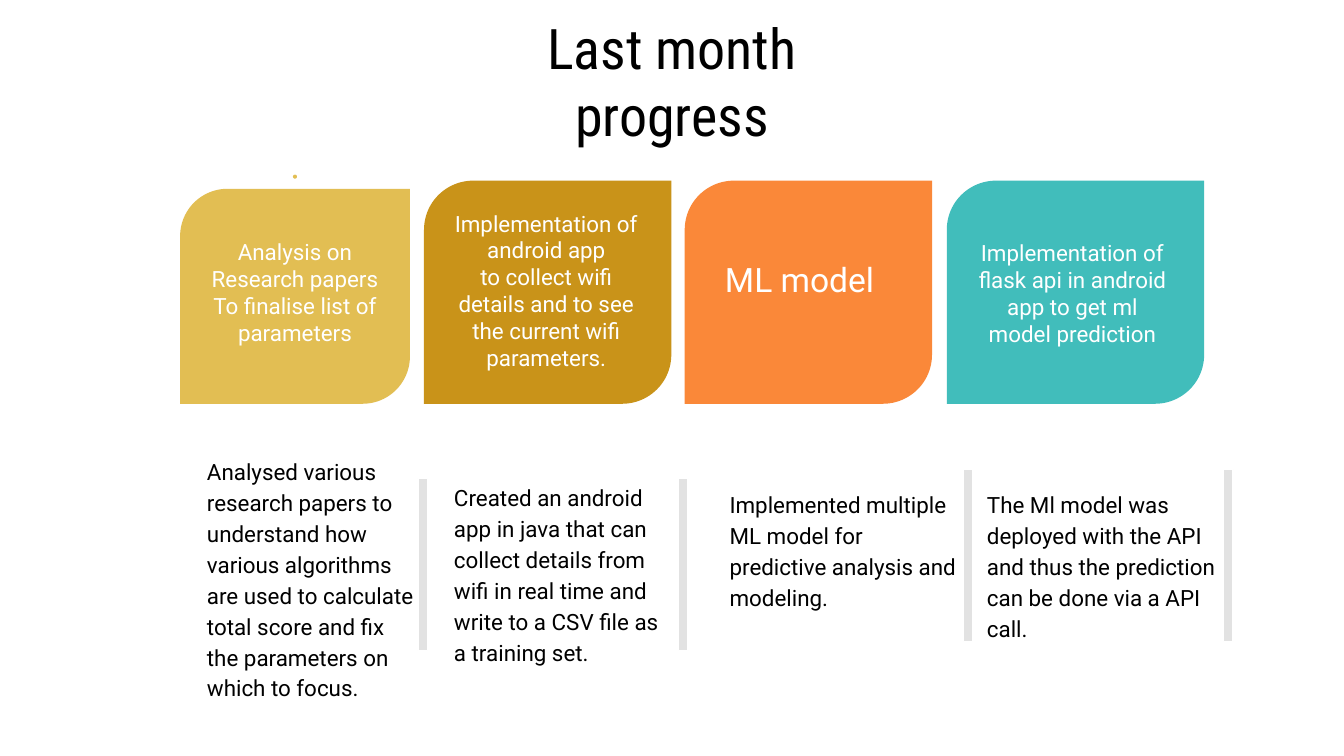
import pptx
import pptx.util
import pptx.dml.color
import pptx.enum.shapes
import pptx.enum.text

RGBColor = pptx.dml.color.RGBColor
SHAPES = pptx.enum.shapes.MSO_SHAPE
ALIGN = pptx.enum.text.PP_ALIGN

PX = 4572  # 200 px to the inch
BLACK = RGBColor(0x00, 0x00, 0x00)
WHITE = RGBColor(0xFF, 0xFF, 0xFF)
SAND = RGBColor(0xE2, 0xBE, 0x53)
GOLD = RGBColor(0xC9, 0x93, 0x19)
ORANGE = RGBColor(0xFA, 0x88, 0x39)
TEAL = RGBColor(0x41, 0xBD, 0xBB)
GREY = RGBColor(0xE2, 0xE2, 0xE2)

presentation = pptx.Presentation()
presentation.slide_width = 2000 * PX
presentation.slide_height = 1125 * PX
slide = presentation.slides.add_slide(presentation.slide_layouts[6])


def add_text(box, lines, size, color, insets, align=ALIGN.LEFT, spacing=1.0, font="Roboto"):
    """Add a vertically centred text box; insets are left, top, right, bottom."""
    frame = slide.shapes.add_textbox(*[value * PX for value in box]).text_frame
    frame.word_wrap = True
    frame.vertical_anchor = pptx.enum.text.MSO_ANCHOR.MIDDLE
    frame.margin_left, frame.margin_top, frame.margin_right, frame.margin_bottom = [
        value * PX for value in insets]
    frame.text = "\n".join(lines)
    for paragraph in frame.paragraphs:
        paragraph.alignment = align
        paragraph.line_spacing = spacing
        paragraph.font.name = font
        paragraph.font.size = pptx.util.Pt(size)
        paragraph.font.color.rgb = color


def add_filled(kind, box, color):
    shape = slide.shapes.add_shape(kind, *[value * PX for value in box])
    shape.shadow.inherit = False
    shape.fill.solid()
    shape.fill.fore_color.rgb = color
    shape.line.fill.background()
    return shape


# Title
add_text((680, 79, 640, 82), ["Last month progress"], 30, BLACK, (20, 20, 20, 20),
         ALIGN.CENTER, font="Roboto Condensed")

# Milestone cards: card box, colour, label box, label lines, size, bottom inset
cards = [
    ((268, 281, 342, 320), SAND, (284, 376, 310, 176),
     ["Analysis on", "Research papers", "To finalise list of parameters"], 12, 68),
    ((631, 269, 368, 332), GOLD, (642, 280, 342, 304),
     ["Implementation of android app",
      "to collect wifi details and to see the current wifi parameters."], 12, 10),
    ((1019, 269, 368, 332), ORANGE, (1034, 290, 312, 290), ["ML model"], 18, 50),
    ((1409, 269, 383, 332), TEAL, (1430, 291, 332, 290),
     ["Implementation of flask api in android app to get ml model prediction"], 12, 10),
]
for card_box, color, label_box, lines, size, bottom in cards:
    card = add_filled(SHAPES.ROUND_2_DIAG_RECTANGLE, card_box, color)
    card.adjustments[0] = 0.22
    add_text(label_box, lines, size, WHITE, (20, 10, 20, bottom), ALIGN.CENTER)

# Dot above the first card
add_filled(SHAPES.OVAL, (436, 260, 6, 6), SAND)

# Descriptions below the cards
descriptions = [
    ((268, 657, 368, 406), (40, 20, 20, 20),
     "Analysed various research papers to understand how various algorithms are used "
     "to calculate total score and fix the parameters on which to focus."),
    ((656, 665, 368, 376), (20, 20, 20, 20),
     "Created an android app in java that can collect details from wifi in real time "
     "and write to a CSV file as a training set."),
    ((666, 0, 0, 0), None, None),
]
descriptions[2:] = [
    ((1066, 637, 382, 426), (20, 0, 20, 65),
     "Implemented multiple ML model for predictive analysis and modeling."),
    ((1449, 674, 390, 333), (20, 20, 20, 20),
     "The Ml model was deployed with the API and thus the prediction can be done "
     "via a API call."),
]
for box, insets, text in descriptions:
    add_text(box, [text], 12, BLACK, insets, spacing=1.15)

# Divider bars
for left, top in [(622, 712), (1010, 712), (1434, 699), (1821, 699)]:
    divider = add_filled(SHAPES.RECTANGLE, (left, top, 14, 256), GREY)
    divider.line.color.rgb = WHITE
    divider.line.width = pptx.util.Pt(0.75)

presentation.save("out.pptx")
